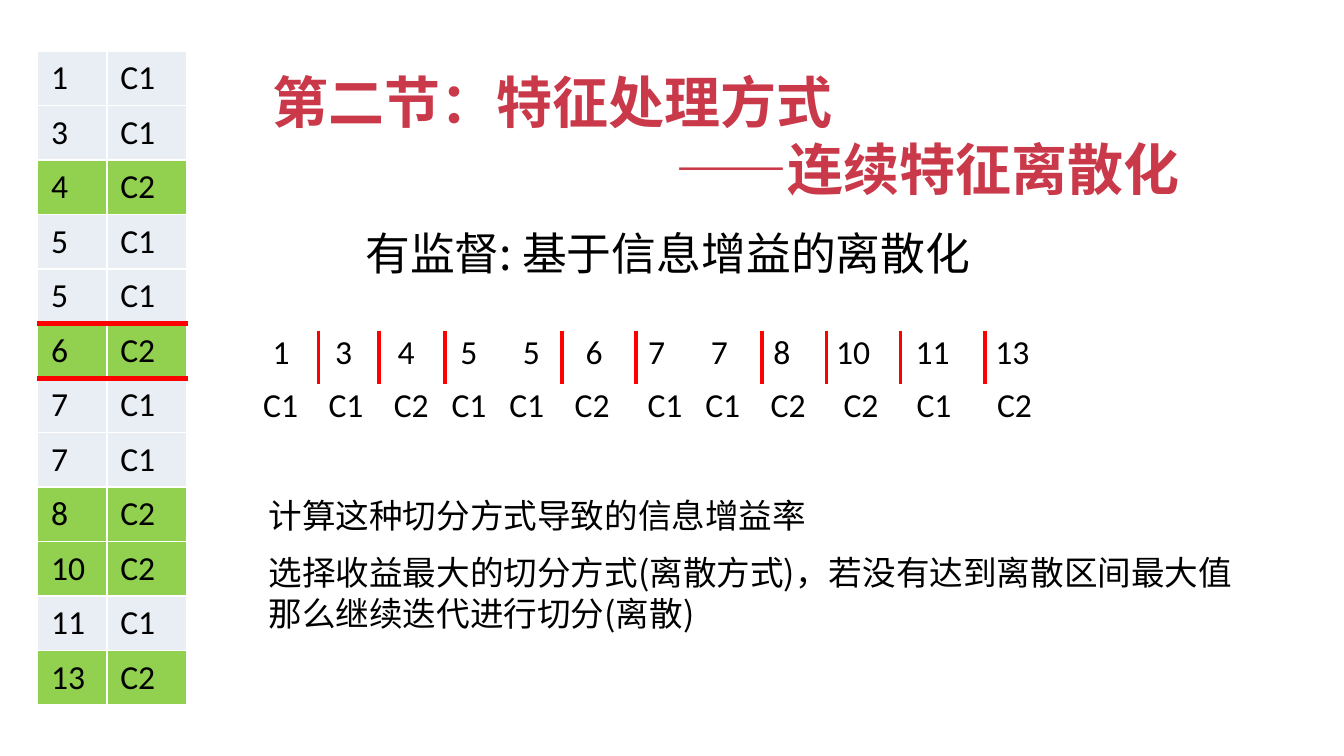
from itertools import accumulate

from lxml import etree
from pptx import Presentation
from pptx.dml.color import RGBColor
from pptx.enum.shapes import MSO_CONNECTOR
from pptx.enum.text import MSO_AUTO_SIZE
from pptx.oxml import parse_xml
from pptx.oxml.ns import nsdecls, qn
from pptx.util import Emu, Inches, Pt

STRAIGHT = MSO_CONNECTOR.STRAIGHT
GROW = MSO_AUTO_SIZE.SHAPE_TO_FIT_TEXT


class Theme:
    accent = "C9394A"
    text = "000000"
    cut = "FF0000"
    grid = "FFFFFF"
    fills = {"C1": "E9EDF4", "C2": "92D050"}
    cjk = "Noto Sans CJK SC"
    latin = "Calibri"
    title, heading, body = 30, 24, 18


# The slide is a grid of 100 columns; rows have the same pitch.
SLIDE_W, SLIDE_H = Inches(10), Inches(5.625)
UNIT = SLIDE_W / 100

VALUES = "1 3 4 5 5 6 7 7 8 10 11 13".split()
CLASSES = "C1 C1 C2 C1 C1 C2 C1 C1 C2 C2 C1 C2".split()
VALUE_GAPS = [6] * 11
CLASS_GAPS = [4, 4, 3, 3, 4, 5, 3, 4, 5, 5, 6]
SPLIT_COLUMNS = [23.7, 28.2, 33.1, 41.8, 47.3, 56.7, 61.5, 67, 73.3]
CUT_EDGES = {5, 6}

# Advance widths in points at the body size
SPACE, DIGIT, LETTER = 4.07, 9.12, 9.6


def grid(*units):
    return [Emu(round(n * UNIT)) for n in units]


def style(r, **fmt):
    values = {"size": Pt(Theme.body), "name": Theme.latin, "bold": False}
    values.update(fmt)
    color = values.pop("color", Theme.text)
    for key, value in values.items():
        setattr(r.font, key, value)
    r.font.color.rgb = RGBColor.from_string(color)
    ea = etree.SubElement(r.font._element, qn("a:ea"))
    ea.set("typeface", values["name"])


def add_text(slide, box, lines, **fmt):
    sp = slide.shapes.add_textbox(*grid(*box))
    tf = sp.text_frame
    tf.word_wrap, tf.auto_size = True, GROW
    for i, line in enumerate(lines):
        p = tf.paragraphs[0] if i == 0 else tf.add_paragraph()
        r = p.add_run()
        r.text = line
        style(r, **fmt)
    return tf.paragraphs


def add_sequence(slide, box, items, gaps):
    """Put items on one line, with tab stops set by item widths and gaps."""
    p = add_text(slide, box, ["\t".join(items)])[0]
    steps = [sum(LETTER if c.isalpha() else DIGIT for c in item) + gap * SPACE
             for item, gap in zip(items, gaps)]
    tabs = etree.SubElement(p._p.get_or_add_pPr(), qn("a:tabLst"))
    for stop in accumulate(steps):
        tab = etree.SubElement(tabs, qn("a:tab"))
        tab.set("pos", str(Pt(stop)))
        tab.set("algn", "l")


def add_split(slide, column, top, height):
    line = slide.shapes.add_connector(
        STRAIGHT, *grid(column, top, column, top + height))
    line.line.color.rgb = RGBColor.from_string(Theme.cut)
    line.line.width = Pt(2)
    etree.SubElement(line._element.spPr, qn("a:effectLst"))


def set_borders(cell, row):
    tc_pr = cell._tc.get_or_add_tcPr()
    edges = {"L": None, "R": None, "T": row, "B": row + 1}
    for side, edge in edges.items():
        color, width = ((Theme.cut, 3) if edge in CUT_EDGES
                        else (Theme.grid, 1))
        tc_pr.append(parse_xml(
            f'<a:ln{side} {nsdecls("a")} w="{Pt(width)}"><a:solidFill>'
            f'<a:srgbClr val="{color}"/></a:solidFill></a:ln{side}>'))


def add_class_table(slide, box, widths):
    records = list(zip(VALUES, CLASSES))
    table = slide.shapes.add_table(len(records), 2, *grid(*box)).table
    for column, width in zip(table.columns, grid(*widths)):
        column.width = width
    for i, record in enumerate(records):
        for j, value in enumerate(record):
            cell = table.cell(i, j)
            set_borders(cell, i)
            cell.fill.solid()
            cell.fill.fore_color.rgb = RGBColor.from_string(
                Theme.fills[record[1]])
            r = cell.text_frame.paragraphs[0].add_run()
            r.text = value
            style(r)


def main():
    prs = Presentation()
    prs.slide_width, prs.slide_height = SLIDE_W, SLIDE_H
    slide = prs.slides.add_slide(prs.slide_layouts[6])

    title = add_text(slide, (19.3, 4.5, 70.8, 11.1),
                     ["第二节：特征处理方式", "——连续特征离散化"],
                     size=Pt(Theme.title), name=Theme.cjk, bold=True,
                     color=Theme.accent)
    title[1].level = 6
    title[1]._p.get_or_add_pPr().set("marL", str(grid(30)[0]))

    add_text(slide, (26.2, 16.3, 47.6, 5), ["有监督: 基于信息增益的离散化"],
             size=Pt(Theme.heading), name=Theme.cjk)

    add_sequence(slide, (19.3, 24.1, 59.4, 4), VALUES, VALUE_GAPS)
    for column in SPLIT_COLUMNS:
        add_split(slide, column, 24.6, 4)
    add_class_table(slide, (2.8, 3.8, 11.1, 48.7), (5.15, 5.95))
    add_sequence(slide, (18.6, 28.1, 60.2, 4), CLASSES, CLASS_GAPS)

    add_text(slide, (19, 36.3, 42.4, 4),
             ["计算这种切分方式导致的信息增益率"], name=Theme.cjk)
    add_text(slide, (19, 40.6, 74.4, 7.1),
             ["选择收益最大的切分方式(离散方式)，若没有达到离散区间最大值",
              "那么继续迭代进行切分(离散)"], name=Theme.cjk)
    prs.save("out.pptx")


if __name__ == "__main__":
    main()
